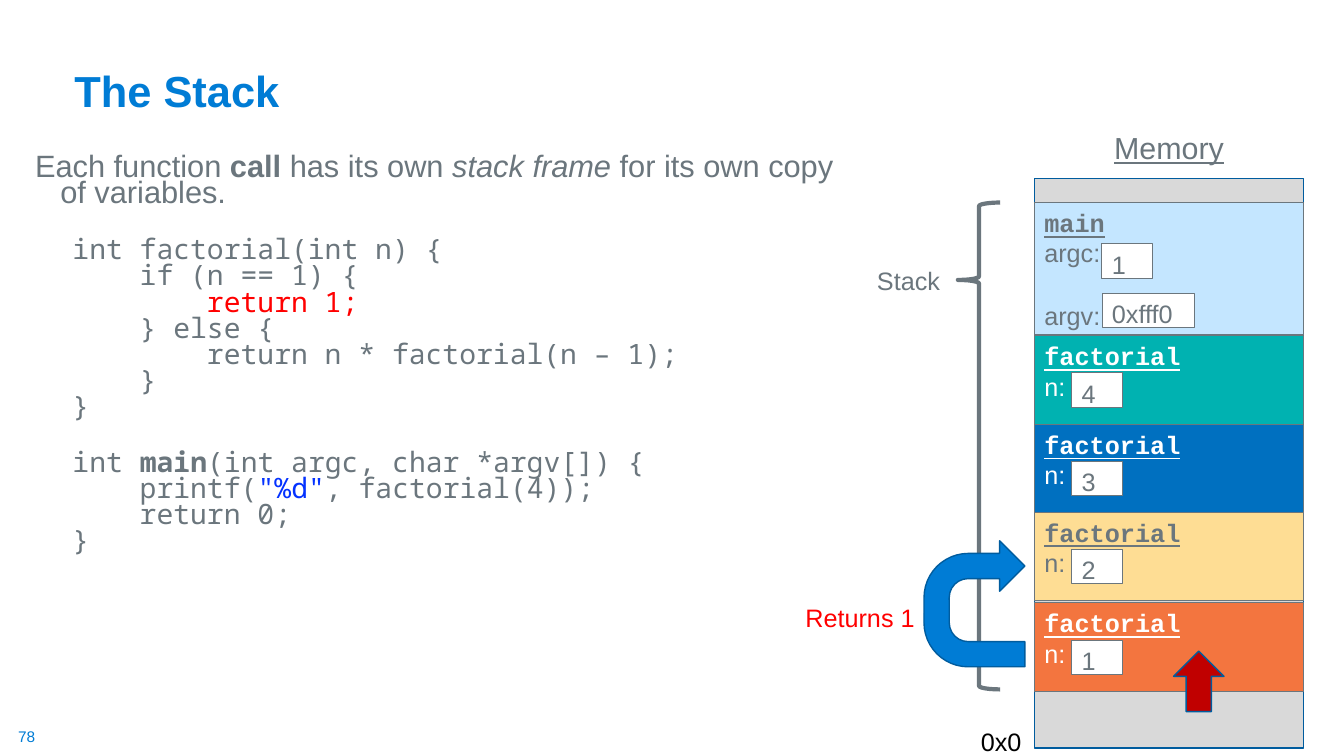
import pptx
import pptx.dml.color
import pptx.enum.shapes
import pptx.enum.text
import pptx.util

PX = 9144
GREY, BLUE, DARK_BLUE = "6B767D", "007CD5", "005C9E"
RED, WHITE = "FF0000", "FFFFFF"
SHAPES = pptx.enum.shapes.MSO_SHAPE
ALIGN = pptx.enum.text.PP_ALIGN
ANCHOR = pptx.enum.text.MSO_ANCHOR

CODE = [
    ("int factorial(int n) {",),
    ("    if (n == 1) {",),
    ("        return 1;",),
    ("    } else {",),
    ("        return n * factorial(n – 1);",),
    ("    }",),
    ("}",),
    ("int ", "main", "(int argc, char *argv[]) {"),
    ("    printf(", '"%d"', ", factorial(4));"),
    ("    return 0;",),
    ("}",),
]
CALLS = [
    (333, "00B2B1", WHITE, "4"),
    (421, "0070C0", WHITE, "3"),
    (508, "FEDD94", GREY, "2"),
    (598, "F3753F", WHITE, "1"),
]


def rgb(value):
    return pptx.dml.color.RGBColor.from_string(value)


def px(*lengths):
    return [n * PX for n in lengths]


def style(font, size, color, name="Arial"):
    font.size = pptx.util.Pt(size)
    font.name = name
    font.color.rgb = rgb(color)


def add_runs(p, texts):
    for text in texts:
        p.add_run().text = text
    return p.runs


def add_label(s, box, text, size, color, wrap=False):
    tf = s.shapes.add_textbox(*px(*box)).text_frame
    tf.word_wrap = wrap
    p = tf.paragraphs[0]
    add_runs(p, [text])
    style(p.font, size, color)
    return tf


def add_shape(s, kind, box, fill, line, width):
    sp = s.shapes.add_shape(kind, *px(*box))
    sp.shadow.inherit = False
    if fill:
        sp.fill.solid()
        sp.fill.fore_color.rgb = rgb(fill)
    else:
        sp.fill.background()
    sp.line.color.rgb = rgb(line)
    sp.line.width = pptx.util.Pt(width)
    return sp


def add_panel(s, box, fill, color, lines):
    tf = add_shape(s, SHAPES.RECTANGLE, box, fill, GREY, 0.75).text_frame
    tf.word_wrap = True
    tf.vertical_anchor = ANCHOR.TOP
    for i, line in enumerate(lines):
        p = tf.add_paragraph() if i else tf.paragraphs[0]
        p.alignment = ALIGN.LEFT
        add_runs(p, [line])
        style(p.font, 18, color)
    return tf


def add_frame(s, box, fill, color, name, fields):
    left, top = box[:2]
    tf = add_panel(s, box, fill, color, [name] + [f[0] for f in fields])
    heading = tf.paragraphs[0].font
    heading.name = "Courier New"
    heading.bold = heading.underline = True
    for p in tf.paragraphs[2:]:
        p.space_before = pptx.util.Pt(23)
    for _, value, dx, dy, width in fields:
        add_panel(s, (left + dx, top + dy, width, 34), WHITE, GREY, [value])


def add_title(s, box):
    tf = add_label(s, box, "The Stack", 31, BLUE, True)
    tf.vertical_anchor = ANCHOR.BOTTOM
    tf.paragraphs[0].line_spacing = 0.9
    tf.paragraphs[0].font.bold = True


def add_page_number(s, box):
    tf = add_label(s, box, "78", 11, BLUE)
    tf.margin_left = tf.margin_right = tf.margin_top = tf.margin_bottom = 0


def add_code_text(s, box):
    tf = s.shapes.add_textbox(*px(*box)).text_frame
    tf.word_wrap = True
    p = tf.paragraphs[0]
    p.line_spacing = 0.7
    pPr = p._p.get_or_add_pPr()
    pPr.set("marL", str(25 * PX))
    pPr.set("indent", str(-25 * PX))
    runs = add_runs(p, ["Each function", " call", " has its own ",
                        "stack frame ", "for its own copy of variables."])
    style(p.font, 22, GREY)
    runs[1].font.bold = True
    runs[3].font.italic = True
    for texts in CODE:
        p = tf.add_paragraph()
        p.line_spacing = 0.7
        starts_function = texts[0].startswith("int ")
        p.space_before = pptx.util.Pt(23 if starts_function else 1.85)
        pPr = p._p.get_or_add_pPr()
        pPr.set("marL", str(62 * PX))
        pPr.set("indent", str(-25 * PX))
        runs = add_runs(p, texts)
        color = RED if "return 1;" in texts[0] else GREY
        style(p.font, 20, color, "Noto Sans Mono")
        for r in runs:
            if r.text == "main":
                r.font.bold = True
            elif r.text == '"%d"':
                r.font.color.rgb = rgb("0432FF")


def add_memory(s, box):
    left, top, width, height = box
    tf = add_label(s, (left + 67, top - 44, 133, 43), "Memory", 21.7, GREY, True)
    p = tf.paragraphs[0]
    p.alignment = ALIGN.CENTER
    p.line_spacing = 0.7
    p.font.underline = True
    add_shape(s, SHAPES.RECTANGLE, box, "D9D9D9", DARK_BLUE, 1)
    add_label(s, (left - 63, top + height - 26, 69, 50), "0x0", 18, "000000")
    add_frame(s, (left, top + 24, width, 131), "C4E6FF", GREY, "main",
              [("argc:", "1", 67, 41, 50), ("argv:", "0xfff0", 67, 90, 92)])
    for frame_top, fill, color, n in CALLS:
        add_frame(s, (left, frame_top, width, 88), fill, color, "factorial",
                  [("n:", n, 37, 37, 50)])
    arrow = add_shape(s, SHAPES.UP_ARROW, (left + 138, top + 469, 50, 60),
                      "C00000", DARK_BLUE, 1)
    arrow.adjustments[0] = arrow.adjustments[1] = 0.5


def add_stack_notes(s, box):
    left, top, width, height = box
    brace = add_shape(s, SHAPES.LEFT_BRACE, box, None, GREY, 3)
    brace.adjustments[0] = 0.083
    brace.adjustments[1] = 0.159
    add_label(s, (left - 90, top + 57, 83, 40), "Stack", 18, GREY)
    turn = add_shape(s, SHAPES.U_TURN_ARROW, (left - 46, top + 348, 125, 100),
                     BLUE, DARK_BLUE, 1)
    turn.rotation = 270
    for i, value in enumerate((0.25, 0.25, 0.25, 0.438, 1)):
        turn.adjustments[i] = value
    add_label(s, (left - 161, top + 392, 130, 40), "Returns 1", 18, RED)


def main():
    prs = pptx.Presentation()
    prs.slide_width, prs.slide_height = px(1333, 750)
    s = prs.slides.add_slide(prs.slide_layouts[6])
    add_page_number(s, (18, 721, 19, 19))
    add_title(s, (64, 43, 1150, 78))
    add_code_text(s, (25, 151, 829, 566))
    add_memory(s, (1026, 177, 267, 565))
    add_stack_notes(s, (950, 201, 42, 483))
    prs.save("out.pptx")


if __name__ == "__main__":
    main()
